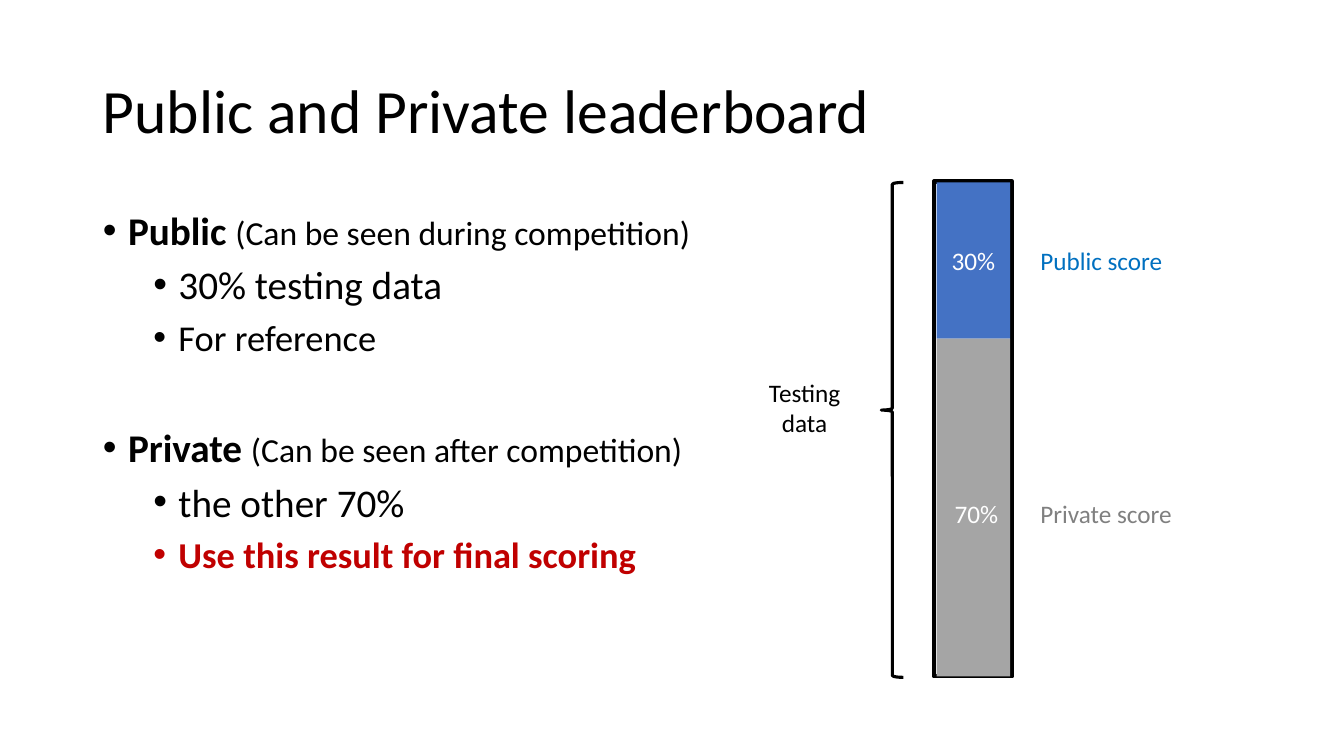
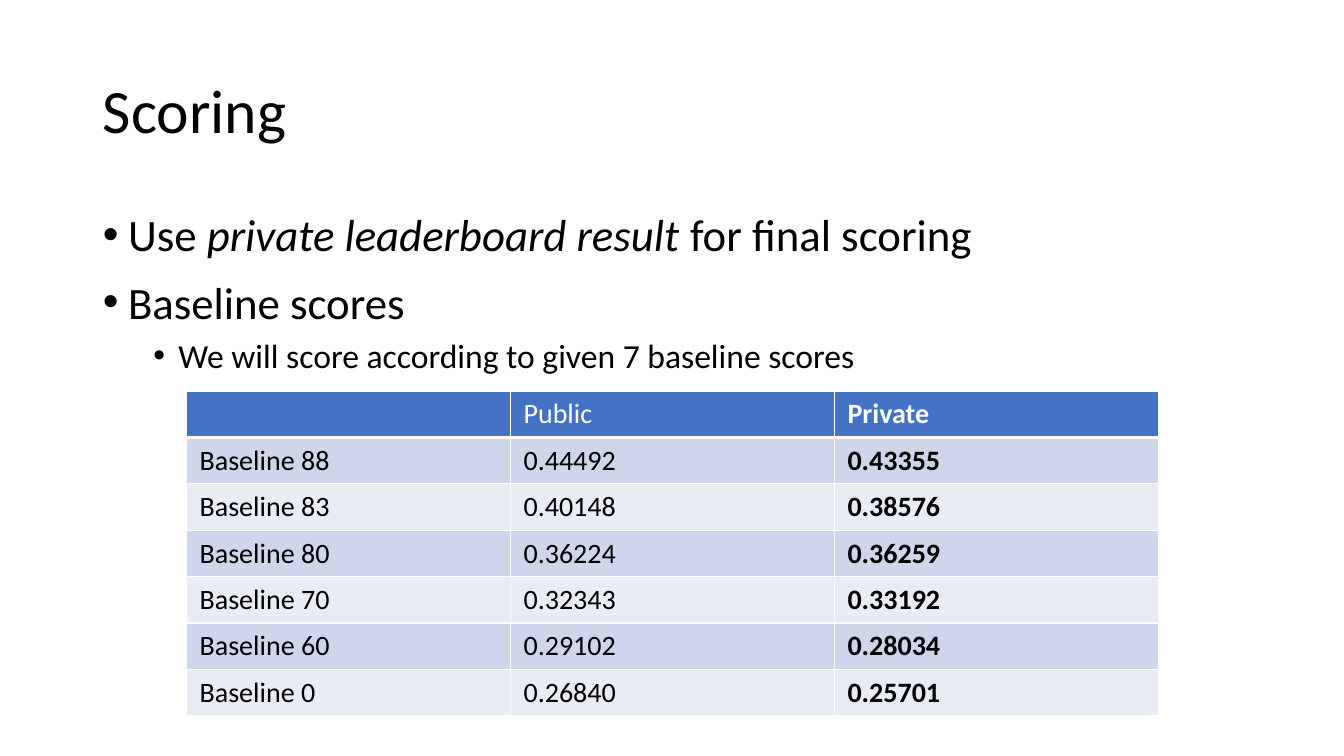
from lxml.etree import SubElement
from pptx import Presentation
from pptx.dml.color import RGBColor
from pptx.enum.shapes import MSO_SHAPE as SHAPE
from pptx.enum.text import MSO_ANCHOR as ANCHOR, MSO_AUTO_SIZE as AUTO, PP_ALIGN as ALIGN
from pptx.oxml.ns import qn
from pptx.util import Inches, Pt

FONT = "Calibri"
BLACK, WHITE, BLUE, GREY, RED = "000000", "FFFFFF", "4472C4", "A5A5A5", "C00000"
BANDS = ("CFD5EA", "E9EBF5")
TITLE_BOX = (0.92, 0.4, 11.5, 1.45)
BODY_BOX = (0.92, 2, 11.5, 4.76)
BAR = (9.26, 1.8, 0.78, 4.91)
BRACE = (8.74, 1.81, 0.22, 4.91)
TABLE_BOX = (1.85, 3.88, 9.64, 3.22)
SPACE = (10, 5)  # points above a line, by level
GROUP_GAP = 46.7  # points above a new group

# Each line: level, points above it, runs of (text, format)
BOARD_LINES = [
    (0, SPACE[0], [("Public ", dict(size=28, bold=True)),
                   ("(Can be seen during competition)", dict(size=24))]),
    (1, SPACE[1], [("30% testing data", dict(size=28))]),
    (1, SPACE[1], [("For reference", dict(size=26))]),
    (0, GROUP_GAP, [("Private ", dict(size=28, bold=True)),
                    ("(Can be seen after competition)", dict(size=24))]),
    (1, SPACE[1], [("the other 70%", dict(size=28))]),
    (1, SPACE[1], [("Use this result for final scoring",
                    dict(size=26, bold=True, color=RED))]),
]
SCORING_LINES = [
    (0, SPACE[0], [("Use ", dict(size=32)),
                   ("private leaderboard result ", dict(size=32, italic=True)),
                   ("for final scoring", dict(size=32))]),
    (0, SPACE[0], [("Baseline scores", dict(size=32))]),
    (1, SPACE[1], [("We will score according to given 7 baseline scores",
                    dict(size=24))]),
]
# Slice: height, fill, share, share left, name, name width, name colour, label top
SLICES = [
    (1.55, BLUE, "30%", 9.34, "Public score", 1.43, "0070C0", 2.38),
    (3.35, GREY, "70%", 9.37, "Private score", 1.52, "808080", 4.89),
]
SCORES = [
    ("", "Public", "Private"),
    ("Baseline 88", "0.44492", "0.43355"),
    ("Baseline 83", "0.40148", "0.38576"),
    ("Baseline 80", "0.36224", "0.36259"),
    ("Baseline 70", "0.32343", "0.33192"),
    ("Baseline 60", "0.29102", "0.28034"),
    ("Baseline 0", "0.26840", "0.25701"),
]


def rgb(code):
    """Turn a hex string into a colour."""
    return RGBColor.from_string(code)


def inches(box):
    """Turn numbers into lengths in inches."""
    return [Inches(v) for v in box]


def add_run(p, text, size=18, color=BLACK, bold=False, italic=False):
    """Add one formatted run to a paragraph."""
    r = p.add_run()
    r.text = text
    for name, value in dict(name=FONT, size=Pt(size), bold=bold, italic=italic).items():
        setattr(r.font, name, value)
    r.font.color.rgb = rgb(color)


def place(sp, box):
    """Move a placeholder to its box and return its text frame."""
    for name, value in zip(("left", "top", "width", "height"), inches(box)):
        setattr(sp, name, value)
    sp.text_frame.auto_size = AUTO.NONE
    return sp.text_frame


def add_slide(prs, title, lines):
    """Add a slide with a title and a bulleted list."""
    s = prs.slides.add_slide(prs.slide_layouts[1])
    tf = place(s.shapes.title, TITLE_BOX)
    tf.vertical_anchor = ANCHOR.MIDDLE
    p = tf.paragraphs[0]
    p.alignment, p.line_spacing = ALIGN.LEFT, 0.9
    add_run(p, title, 44)

    tf = place(s.placeholders[1], BODY_BOX)
    tf.vertical_anchor = ANCHOR.TOP
    for i, (level, above, runs) in enumerate(lines):
        p = tf.add_paragraph() if i else tf.paragraphs[0]
        p.level, p.line_spacing, p.space_before = level, 1.0, Pt(above)
        pPr = p._p.get_or_add_pPr()
        pPr.set("marL", str(Inches(0.25 + 0.5 * level)))
        pPr.set("indent", str(Inches(-0.25)))
        SubElement(pPr, qn("a:buFont")).set("typeface", "Arial")
        SubElement(pPr, qn("a:buChar")).set("char", "•")
        for text, fmt in runs:
            add_run(p, text, **fmt)
    return s


def add_shape(s, kind, box, fill=None, line=None, width=1):
    """Add a flat shape with an optional fill and outline."""
    sp = s.shapes.add_shape(kind, *inches(box))
    sp.shadow.inherit = False
    for part, color in ((sp.fill, fill), (sp.line.fill, line)):
        if color:
            part.solid()
            part.fore_color.rgb = rgb(color)
        else:
            part.background()
    if line:
        sp.line.width = Pt(width)
    return sp


def add_label(s, box, lines, color=BLACK, align=ALIGN.LEFT):
    """Add a label of one or more unwrapped lines."""
    tf = s.shapes.add_textbox(*inches(box)).text_frame
    tf.word_wrap, tf.auto_size = False, AUTO.SHAPE_TO_FIT_TEXT
    for i, text in enumerate(lines):
        p = tf.add_paragraph() if i else tf.paragraphs[0]
        p.alignment = align
        add_run(p, text, color=color)


def add_bar(s):
    """Draw the split of the testing data as a stacked bar."""
    add_shape(s, SHAPE.RECTANGLE, BAR, WHITE, BLACK, 3)
    top = 1.81
    for height, fill, *_ in SLICES:
        add_shape(s, SHAPE.RECTANGLE, (9.29, top, 0.73, height), fill)
        top += height
    for _, _, share, left, name, width, color, y in SLICES:
        add_label(s, (10.22, y, width, 0.4), [name], color)
        add_label(s, (left, y, 0.64, 0.4), [share], WHITE)
    add_label(s, (7.52, 3.69, 0.92, 0.71), ["Testing", "data"], align=ALIGN.CENTER)
    brace = add_shape(s, SHAPE.LEFT_BRACE, BRACE, line=BLACK, width=2.25)
    brace.adjustments[0], brace.adjustments[1] = 0.083, 0.46


def set_borders(cell, bottom):
    """Give a cell white borders, with its own bottom width."""
    tcPr = cell._tc.get_or_add_tcPr()
    for side, width in dict(L=1, R=1, T=1, B=bottom).items():
        ln = SubElement(tcPr, qn("a:ln" + side), w=str(Pt(width)))
        SubElement(SubElement(ln, qn("a:solidFill")), qn("a:srgbClr")).set("val", WHITE)


def add_scores(s):
    """Add the table of baseline scores."""
    table = s.shapes.add_table(len(SCORES), len(SCORES[0]), *inches(TABLE_BOX)).table
    margins = dict(margin_left=0.13, margin_right=0.13, margin_top=0.06, margin_bottom=0.06)
    for i, row in enumerate(SCORES):
        table.rows[i].height = Inches(0.46 if i else 0.45)
        for j, text in enumerate(row):
            cell = table.cell(i, j)
            for name, value in margins.items():
                setattr(cell, name, Inches(value))
            set_borders(cell, 1 if i else 3)
            cell.fill.solid()
            cell.fill.fore_color.rgb = rgb(BANDS[(i - 1) % 2] if i else BLUE)
            if text:
                add_run(cell.text_frame.paragraphs[0], text, 20,
                        BLACK if i else WHITE, bold=j == 2)


prs = Presentation()
prs.slide_width, prs.slide_height = inches((13.33, 7.5))
add_bar(add_slide(prs, "Public and Private leaderboard", BOARD_LINES))
add_scores(add_slide(prs, "Scoring", SCORING_LINES))
prs.save("out.pptx")
